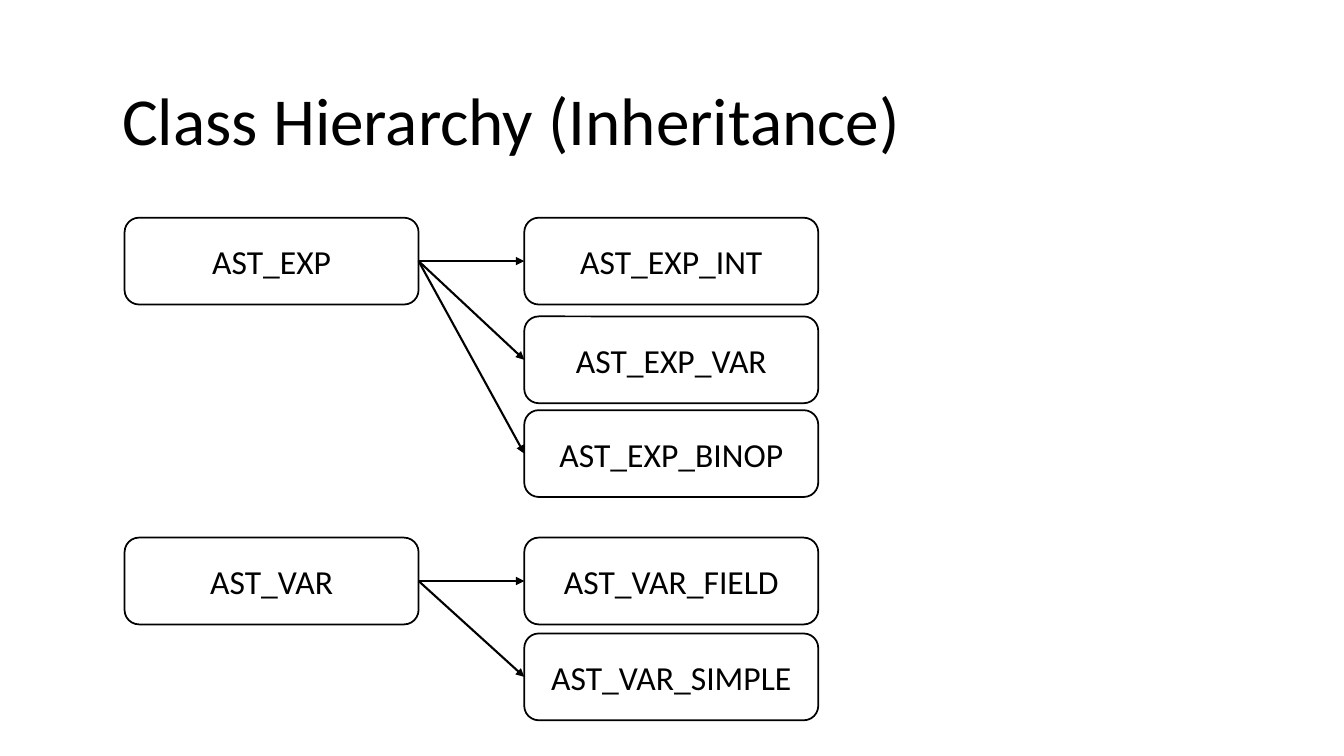
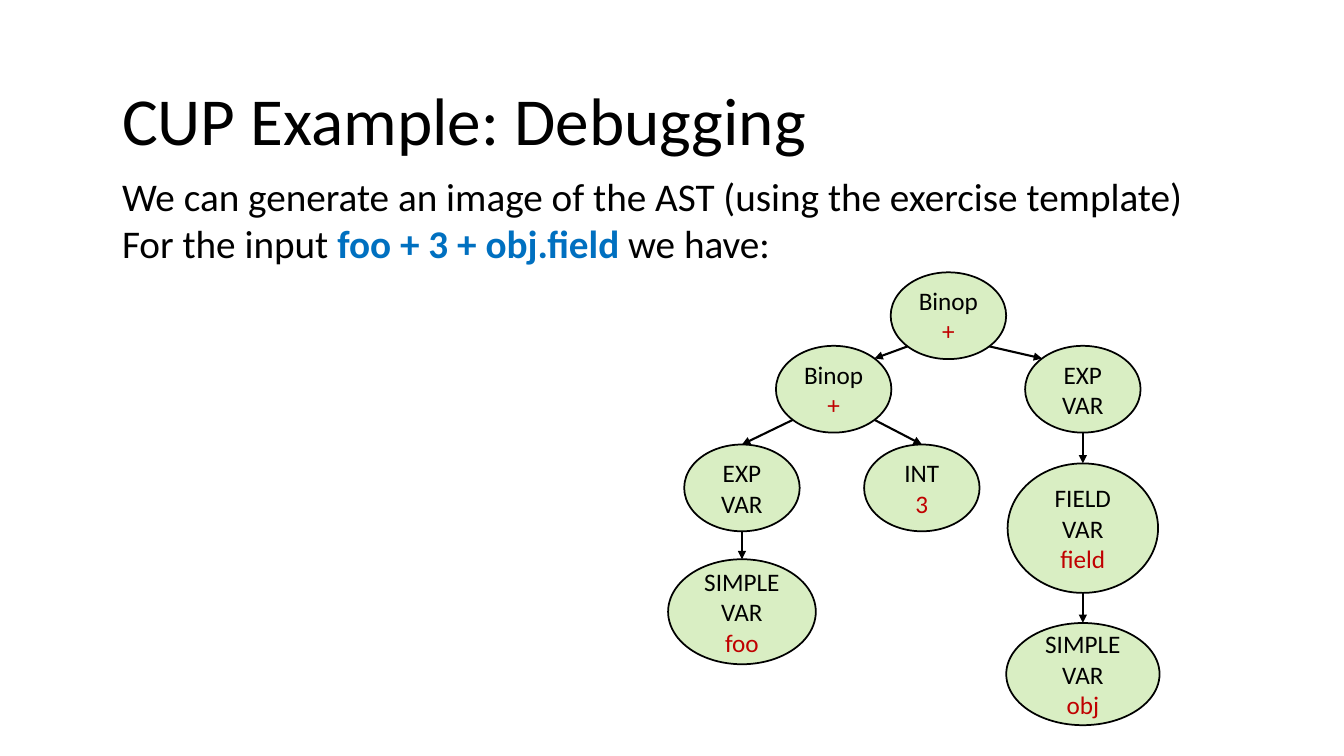
import math
import pptx
import pptx.util
import pptx.dml.color
import pptx.enum.shapes
import pptx.enum.text
import pptx.oxml.ns

COLORS = {
    "ink": "000000",
    "paper": "FFFFFF",
    "leaf": "92D050",
    "value": "C00000",
    "code": "0070C0",
}
FONT = "Calibri"
LEFT, WIDTH = 80, 798.5
SHAPE = pptx.enum.shapes.MSO_SHAPE
ANCHOR = pptx.enum.text.MSO_ANCHOR
ALIGN = pptx.enum.text.PP_ALIGN
Pt = pptx.util.Pt
qn = pptx.oxml.ns.qn


def color(name):
    return pptx.dml.color.RGBColor.from_string(COLORS[name])


def add_tag(parent, tag, **attrs):
    node = parent.makeelement(qn(tag), attrs)
    parent.append(node)
    return node


class Deck:
    def __init__(self):
        self.file = pptx.Presentation()
        self.file.slide_width = Pt(960)
        self.file.slide_height = Pt(540)
        self.slide = None

    def text(self, shape, lines, size, align, anchor):
        frame = shape.text_frame
        frame.word_wrap = True
        frame.auto_size = pptx.enum.text.MSO_AUTO_SIZE.NONE
        frame.vertical_anchor = anchor
        for i, line in enumerate(lines):
            para = frame.add_paragraph() if i else frame.paragraphs[0]
            para.alignment = align
            para.space_before = Pt(0)
            para.font.name = FONT
            para.font.size = Pt(size)
            para.font.color.rgb = color("ink")
            for words, accent in line:
                run = para.add_run()
                run.text = words
                if accent:
                    run.font.color.rgb = color(accent)
                    run.font.bold = accent == "code"

    def place(self, shape, top, height):
        shape.left, shape.top = Pt(LEFT), Pt(top)
        shape.width, shape.height = Pt(WIDTH), Pt(height)

    def start(self, title, layout):
        self.slide = self.file.slides.add_slide(self.file.slide_layouts[layout])
        head = self.slide.shapes.title
        self.place(head, 52.5, 65.5)
        self.text(head, [[(title, None)]], 48, ALIGN.LEFT, ANCHOR.TOP)

    def body(self, lines):
        holder = self.slide.placeholders[1]
        self.place(holder, 119.5, 75)
        self.text(holder, lines, 28, ALIGN.LEFT, ANCHOR.TOP)
        for props in holder.element.iter(qn("a:pPr")):
            props.set("marL", "0")
            props.set("indent", "0")
            bullet = props.makeelement(qn("a:buNone"), {})
            props.find(qn("a:defRPr")).addprevious(bullet)

    def node(self, kind, left, top, width, height, fill, lines, size):
        shape = self.slide.shapes.add_shape(
            kind, Pt(left), Pt(top), Pt(width), Pt(height))
        shape.shadow.inherit = False
        shape.fill.solid()
        shape.fill.fore_color.rgb = color(fill)
        shape.line.color.rgb = color("ink")
        shape.line.width = Pt(1.25)
        self.text(shape, lines, size, ALIGN.CENTER, ANCHOR.MIDDLE)
        return shape

    def box(self, left, top, name):
        return self.node(SHAPE.ROUNDED_RECTANGLE, left, top, 210, 62,
                         "paper", [[(name, None)]], 24)

    def oval(self, mid, top, label, value="", width=82.5, height=62):
        lines = [[(part, None)] if part else [] for part in label.split("\n")]
        if value:
            lines[-1].append((value, "value"))
        shape = self.node(SHAPE.OVAL, mid - width / 2, top, width, height,
                          "leaf", lines, 18)
        tint = shape.element.spPr.find(qn("a:solidFill"))[0]
        add_tag(tint, "a:alpha", val="34000")
        return shape

    def arrow(self, start=(0, 0), end=(0, 0)):
        line = self.slide.shapes.add_connector(
            pptx.enum.shapes.MSO_CONNECTOR.STRAIGHT, *start, *end)
        line.line.color.rgb = color("ink")
        line.line.width = Pt(1.5)
        props = line.element.spPr
        add_tag(props.find(qn("a:ln")), "a:tailEnd", type="triangle")
        add_tag(props, "a:effectLst")
        return line

    def join(self, parent, child):
        line = self.arrow()
        line.begin_connect(parent, 3)
        line.end_connect(child, 1)

    def rim(self, oval, angle):
        turn = math.radians(angle)
        x = oval.left + oval.width / 2 * (1 + math.cos(turn))
        y = oval.top + oval.height / 2 * (1 + math.sin(turn))
        return round(x), round(y)

    def link(self, parent, out, child, into):
        self.arrow(self.rim(parent, out), self.rim(child, into))


def classes(deck):
    deck.start("Class Hierarchy (Inheritance)", 5)
    trees = {
        "AST_EXP": [("INT", 155.5), ("VAR", 226), ("BINOP", 293)],
        "AST_VAR": [("FIELD", 384), ("SIMPLE", 452.5)],
    }
    for base, kinds in trees.items():
        parent = deck.box(89, kinds[0][1], base)
        for kind, top in kinds:
            deck.join(parent, deck.box(374.5, top, f"{base}_{kind}"))


def debug(deck):
    deck.start("CUP Example: Debugging", 1)
    deck.body([
        [("We can generate an image of the AST (using the exercise template)", None)],
        [("For the input ", None), ("foo + 3 + obj.field", "code"), (" we have:", None)],
    ])
    root = deck.oval(677.5, 194.5, "Binop ", "+")
    plus = deck.oval(595.5, 247, "Binop ", "+")
    left = deck.oval(530, 317.5, "EXP\nVAR")
    foo = deck.oval(530, 399.5, "SIMPLE\nVAR\n", "foo", 105.5, 75)
    three = deck.oval(658.5, 317.5, "INT\n", "3")
    right = deck.oval(773.5, 247, "EXP\nVAR")
    field = deck.oval(773.5, 331, "FIELD\nVAR\n", "field", 107.5, 92.5)
    obj = deck.oval(773.5, 445, "SIMPLE\nVAR\n", "obj", 109.5, 73)
    deck.link(root, 135, plus, 315)
    deck.link(root, 45, right, 225)
    deck.link(plus, 135, left, 270)
    deck.link(plus, 45, three, 270)
    for parent, child in [(left, foo), (right, field), (field, obj)]:
        deck.link(parent, 90, child, 270)


def main():
    deck = Deck()
    classes(deck)
    debug(deck)
    deck.file.save("out.pptx")


if __name__ == "__main__":
    main()
